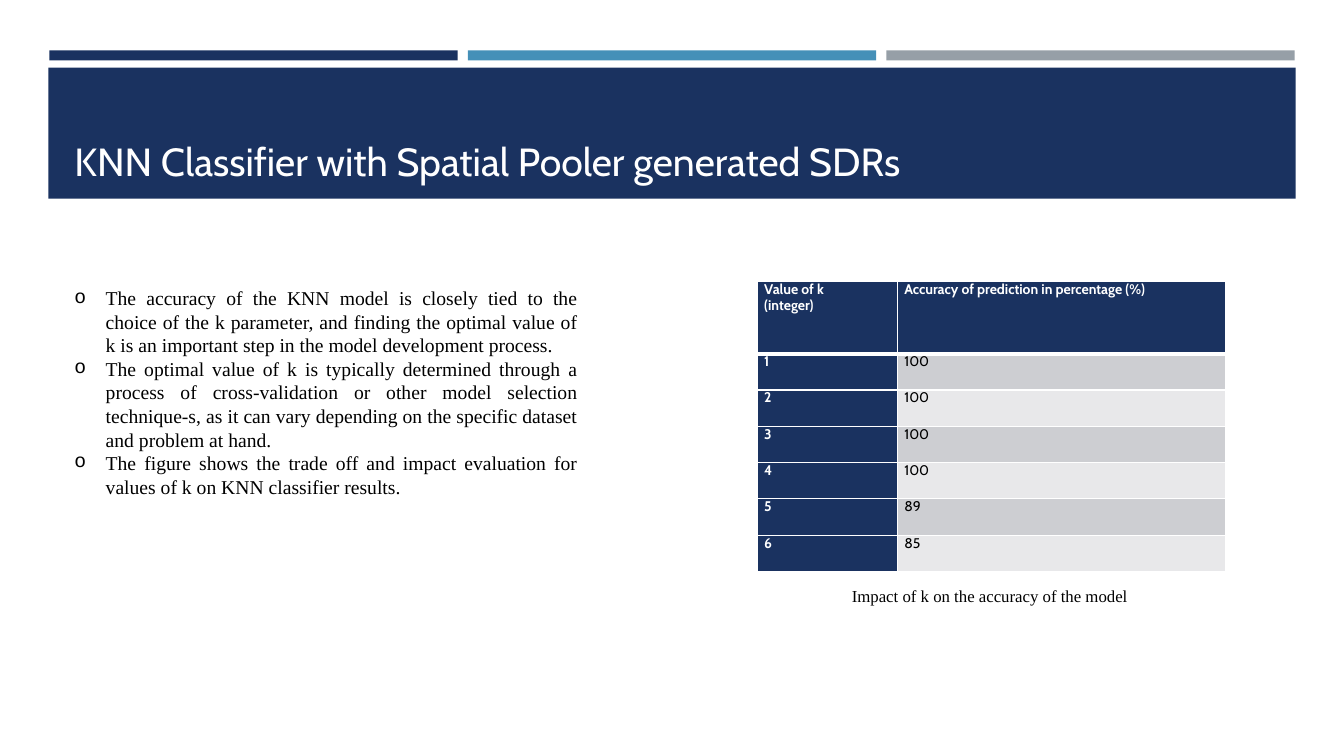
import lxml.etree
import pptx
import pptx.dml.color
import pptx.enum.shapes
import pptx.enum.text
import pptx.oxml.ns
import pptx.util

PX = 9144  # 100 px to the inch
NAVY, BLUE, GRAY, WHITE, BLACK = "1A3260", "4590B8", "969FA7", "FFFFFF", "000000"
BANDS = ["CDCED2", "E8E8EA"]
SERIF, SANS = "Times New Roman", "Cabin"
JUSTIFY = pptx.enum.text.PP_ALIGN.JUSTIFY
qn = pptx.oxml.ns.qn
rgb = pptx.dml.color.RGBColor.from_string


def write(frame, text, font, size, color, bold=False, align=None, spacing=None, bullet=None):
    """Fill a text frame with one paragraph for each line of text."""
    frame.word_wrap = True
    for index, line in enumerate(text.split("\n")):
        paragraph = frame.paragraphs[0] if index == 0 else frame.add_paragraph()
        if bullet:
            properties = paragraph._p.get_or_add_pPr()
            properties.set("marL", str(31 * PX))
            properties.set("indent", str(-31 * PX))
            lxml.etree.SubElement(properties, qn("a:buFont"), typeface="Courier New")
            lxml.etree.SubElement(properties, qn("a:buChar"), char=bullet)
        paragraph.alignment = align
        paragraph.line_spacing = spacing
        run = paragraph.add_run()
        run.text = line
        run.font.name = font
        run.font.size = pptx.util.Pt(size)
        run.font.bold = bold
        run.font.color.rgb = rgb(color)


def set_borders(cell, bottom):
    """Draw white cell borders: 1 pt, and the given width in points below."""
    properties = cell._tc.get_or_add_tcPr()
    for index, (side, width) in enumerate([("L", 1), ("R", 1), ("T", 1), ("B", bottom)]):
        line = lxml.etree.Element(qn("a:ln" + side), w=str(pptx.util.Pt(width)))
        fill = lxml.etree.SubElement(line, qn("a:solidFill"))
        lxml.etree.SubElement(fill, qn("a:srgbClr"), val=WHITE)
        properties.insert(index, line)


presentation = pptx.Presentation()
presentation.slide_width = 1333 * PX
presentation.slide_height = 750 * PX
slide = presentation.slides.add_slide(presentation.slide_layouts[6])

# Three accent strips above the title band
bars = [(49 + 415 * i, 50, 405, 10, color) for i, color in enumerate([NAVY, BLUE, GRAY])]
bars.append((48, 67, 1237, 130, NAVY))
for left, top, width, height, color in bars:
    bar = slide.shapes.add_shape(pptx.enum.shapes.MSO_SHAPE.RECTANGLE,
                                 left * PX, top * PX, width * PX, height * PX)
    bar.shadow.inherit = False
    bar.fill.solid()
    bar.fill.fore_color.rgb = rgb(color)
    bar.line.fill.background()

title = slide.shapes.add_textbox(64 * PX, 77 * PX, 1206 * PX, 111 * PX)
title.text_frame.vertical_anchor = pptx.enum.text.MSO_ANCHOR.BOTTOM
write(title.text_frame, "KNN Classifier with Spatial Pooler generated SDRs", SANS, 28, WHITE)

# Accuracy table
rows = [
    ("Value of k\n(integer)", "Accuracy of prediction in percentage (%)"),
    ("1", "100"),
    ("2", "100"),
    ("3", "100"),
    ("4", "100"),
    ("5", "89"),
    ("6", "85"),
]
table = slide.shapes.add_table(len(rows), 2, 751 * PX, 279 * PX, 465 * PX, 288 * PX).table
table.columns[0].width = 139 * PX
table.columns[1].width = 326 * PX
for row_index, values in enumerate(rows):
    is_header = row_index == 0
    table.rows[row_index].height = (72 if is_header else 36) * PX
    for column_index, value in enumerate(values):
        cell = table.cell(row_index, column_index)
        is_heading = is_header or column_index == 0
        cell.margin_left = cell.margin_right = 7 * PX
        cell.margin_top = cell.margin_bottom = 0
        cell.fill.solid()
        cell.fill.fore_color.rgb = rgb(NAVY if is_heading else BANDS[(row_index - 1) % 2])
        set_borders(cell, bottom=3 if is_header else 1)
        write(cell.text_frame, value, SANS, 10, WHITE if is_heading else BLACK,
              bold=is_heading, align=JUSTIFY, spacing=0.95)

findings = "\n".join([
    "The accuracy of the KNN model is closely tied to the choice of the k parameter, and "
    "finding the optimal value of k is an important step in the model development process.",
    "The optimal value of k is typically determined through a process of cross-validation or "
    "other model selection technique-s, as it can vary depending on the specific dataset and "
    "problem at hand.",
    "The figure shows the trade off and impact evaluation for values of k on KNN classifier "
    "results.",
])
body = slide.shapes.add_textbox(64 * PX, 279 * PX, 519 * PX, 222 * PX)
write(body.text_frame, findings, SERIF, 14, BLACK, align=JUSTIFY, bullet="o")

caption = slide.shapes.add_textbox(835 * PX, 576 * PX, 296 * PX, 31 * PX)
write(caption.text_frame, "Impact of k on the accuracy of the model", SERIF, 12, BLACK)

presentation.save("out.pptx")
